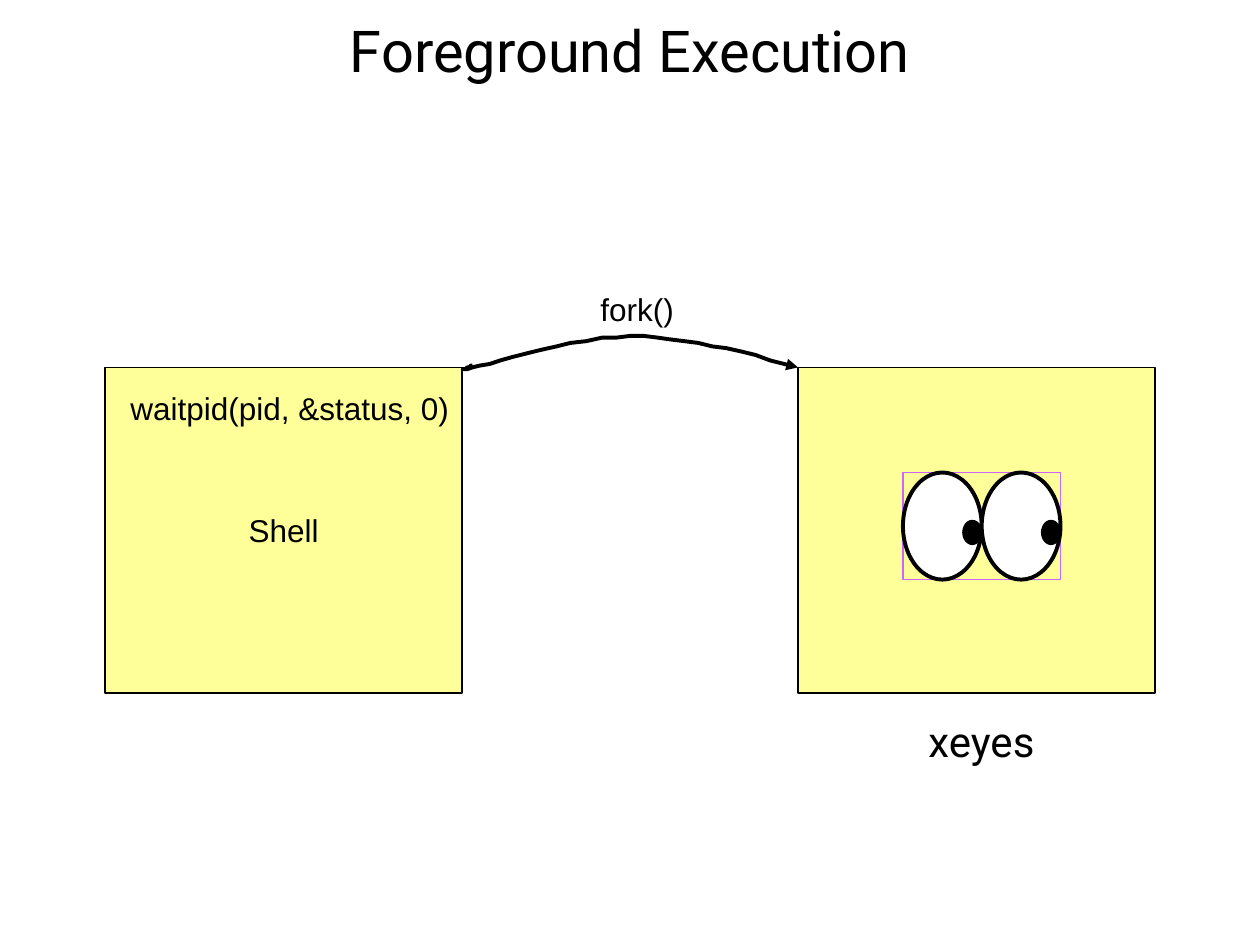
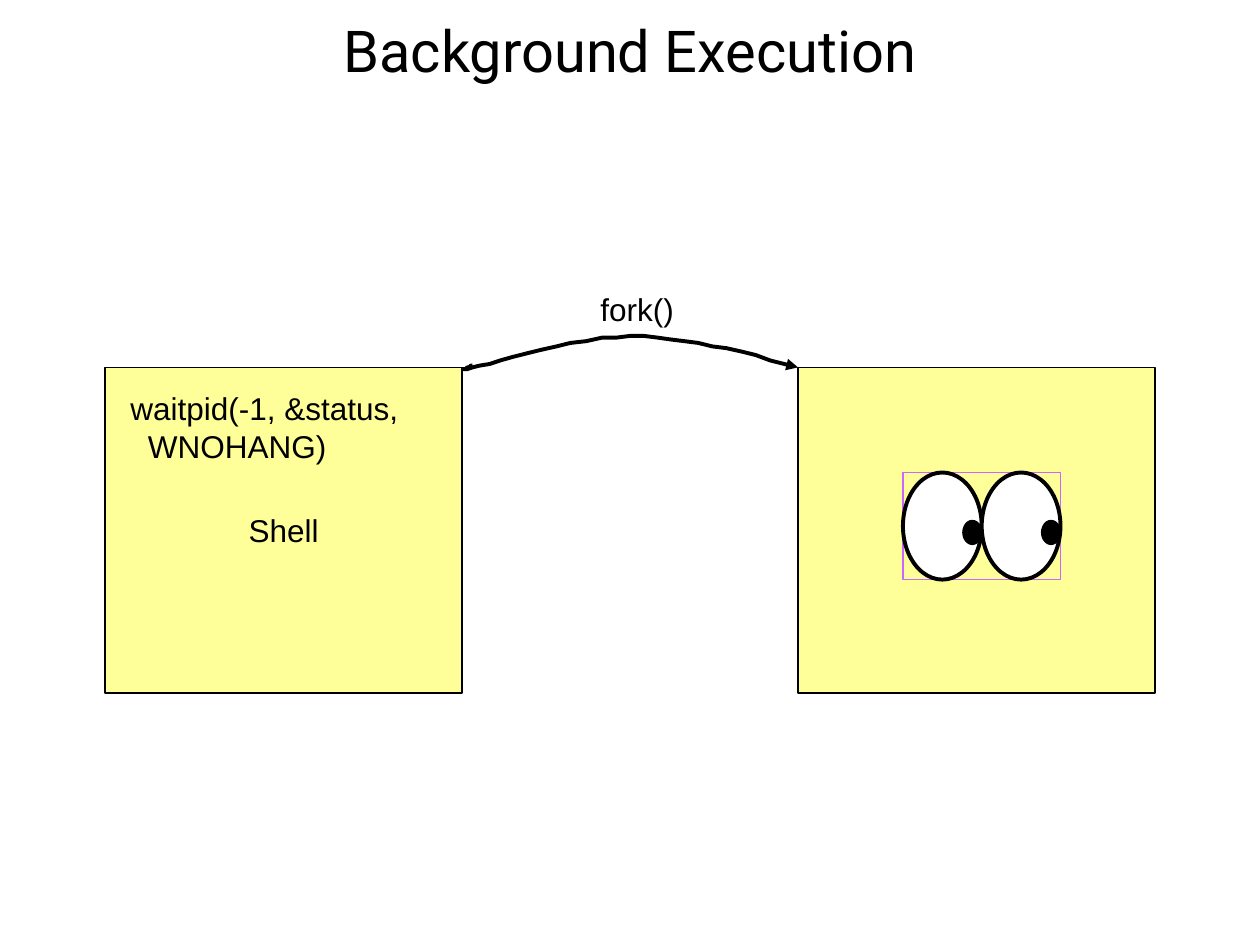
"""Build two slides that compare foreground and background execution in a shell."""
from lxml import etree
from pptx import Presentation
from pptx import util as u
from pptx.dml.color import RGBColor
from pptx.enum import shapes, text
from pptx.oxml.ns import qn

BLACK = RGBColor(0x00, 0x00, 0x00)
WHITE = RGBColor(0xFF, 0xFF, 0xFF)
YELLOW = RGBColor(0xFF, 0xFF, 0x99)
PURPLE = RGBColor(0xCC, 0x66, 0xFF)
HEADING_FONT, LABEL_FONT = "Roboto", "Arial"
THIN, THICK = 0.75, 2.25

BOX_TOP, BOX_WIDTH, BOX_HEIGHT = 210, 204, 186
SHELL_LEFT, CHILD_LEFT = 60, 456
EYES_LEFT, EYES_TOP, EYE_WIDTH, EYE_HEIGHT = 516, 270, 45, 61.2
PUPIL_TOP, PUPIL_WIDTH, PUPIL_HEIGHT = 297.4, 10.8, 13.7
FORK_CURVES = [
    [(270, 208.8), (270.7, 209.5), (254.9, 213.1), (270, 210.2)],
    [(270, 210.2), (285.1, 207.4), (329, 192.2), (360, 192.2)],
    [(360, 192.2), (391, 192.2), (423.4, 200.9), (456, 210)],
]
CURVE_STEPS = 12


def bezier_point(curve, t):
    weights = ((1 - t) ** 3, 3 * t * (1 - t) ** 2, 3 * t ** 2 * (1 - t), t ** 3)
    return tuple(sum(w * point[axis] for w, point in zip(weights, curve)) for axis in (0, 1))


class Deck:
    def __init__(self):
        self.presentation = Presentation()
        self.presentation.slide_width = u.Pt(720)
        self.presentation.slide_height = u.Pt(540)
        self.slide = None

    def new_slide(self, title):
        layout = self.presentation.slide_layouts.get_by_name("Title Only")
        self.slide = self.presentation.slides.add_slide(layout)
        shape = self.slide.shapes.title
        shape.left, shape.top, shape.width, shape.height = map(u.Pt, (24, 0, 672, 61.2))
        self.heading(shape, title, 33)

    def style_text(self, shape, content, font_name, size):
        frame = shape.text_frame
        frame.text = content
        for paragraph in frame.paragraphs:
            for run in paragraph.runs:
                run.font.name = font_name
                run.font.size = u.Pt(size)
                run.font.color.rgb = BLACK
        return frame

    def heading(self, shape, content, size):
        frame = self.style_text(shape, content, HEADING_FONT, size)
        frame.word_wrap = True
        frame.auto_size = text.MSO_AUTO_SIZE.NONE
        frame.vertical_anchor = text.MSO_ANCHOR.MIDDLE
        frame.paragraphs[0].alignment = text.PP_ALIGN.CENTER
        frame.paragraphs[0].line_spacing = 0.9

    def caption(self, content, *bounds):
        self.heading(self.slide.shapes.add_textbox(*map(u.Pt, bounds)), content, 24)

    def label(self, content, *bounds):
        shape = self.slide.shapes.add_textbox(*map(u.Pt, bounds))
        frame = self.style_text(shape, content, LABEL_FONT, 18)
        frame.word_wrap = False
        frame.auto_size = text.MSO_AUTO_SIZE.SHAPE_TO_FIT_TEXT
        for paragraph in frame.paragraphs[1:]:
            paragraph._p.get_or_add_pPr().set("marL", str(u.Pt(10)))

    def preset(self, kind, bounds, fill, line, weight, parent=None):
        container = parent or self.slide
        shape = container.shapes.add_shape(kind, *map(u.Pt, bounds))
        shape.shadow.inherit = False
        shape.fill.solid()
        shape.fill.fore_color.rgb = fill
        shape.line.color.rgb = line
        shape.line.width = u.Pt(weight)
        return shape

    def process_box(self, left, name=""):
        bounds = (left, BOX_TOP, BOX_WIDTH, BOX_HEIGHT)
        shape = self.preset(shapes.MSO_SHAPE.RECTANGLE, bounds, YELLOW, BLACK, THIN)
        if name:
            frame = self.style_text(shape, name, LABEL_FONT, 18)
            frame.word_wrap = False
            frame.vertical_anchor = text.MSO_ANCHOR.MIDDLE
            frame.paragraphs[0].alignment = text.PP_ALIGN.CENTER

    def eyes(self):
        group = self.slide.shapes.add_group_shape()
        frame_bounds = (EYES_LEFT, EYES_TOP, 2 * EYE_WIDTH, EYE_HEIGHT)
        self.preset(shapes.MSO_SHAPE.RECTANGLE, frame_bounds, YELLOW, PURPLE, THIN, group)
        eye_lefts = [EYES_LEFT + index * EYE_WIDTH for index in range(2)]
        for left in eye_lefts:
            bounds = (left, EYES_TOP, EYE_WIDTH, EYE_HEIGHT)
            self.preset(shapes.MSO_SHAPE.OVAL, bounds, WHITE, BLACK, THICK, group)
        for left in eye_lefts:
            bounds = (left + EYE_WIDTH - PUPIL_WIDTH, PUPIL_TOP, PUPIL_WIDTH, PUPIL_HEIGHT)
            self.preset(shapes.MSO_SHAPE.OVAL, bounds, BLACK, BLACK, THIN, group)

    def fork_arrow(self):
        points = [bezier_point(curve, step / CURVE_STEPS)
                  for curve in FORK_CURVES for step in range(1, CURVE_STEPS + 1)]
        builder = self.slide.shapes.build_freeform(*FORK_CURVES[0][0], scale=float(u.Pt(1)))
        builder.add_line_segments(points, close=False)
        shape = builder.convert_to_shape()
        shape.shadow.inherit = False
        shape.fill.background()
        shape.line.color.rgb = BLACK
        shape.line.width = u.Pt(THICK)
        etree.SubElement(shape.line._get_or_add_ln(), qn("a:tailEnd"), type="triangle")

    def execution_slide(self, title, wait_call, wait_width, wait_height):
        self.new_slide(title)
        self.fork_arrow()
        self.label("fork()", 336, 162, 56.2, 28.8)
        self.process_box(SHELL_LEFT, "Shell")
        self.label(wait_call, 67.5, 219, wait_width, wait_height)
        self.process_box(CHILD_LEFT)
        self.eyes()


def main():
    deck = Deck()
    deck.execution_slide("Foreground Execution", "waitpid(pid, &status, 0)", 196.5, 28.8)
    deck.caption("xeyes", 497.5, 394.6, 126.7, 61.2)
    deck.execution_slide("Background Execution", "waitpid(-1, &status,\nWNOHANG)", 172.8, 50.4)
    deck.presentation.save("out.pptx")


if __name__ == "__main__":
    main()
